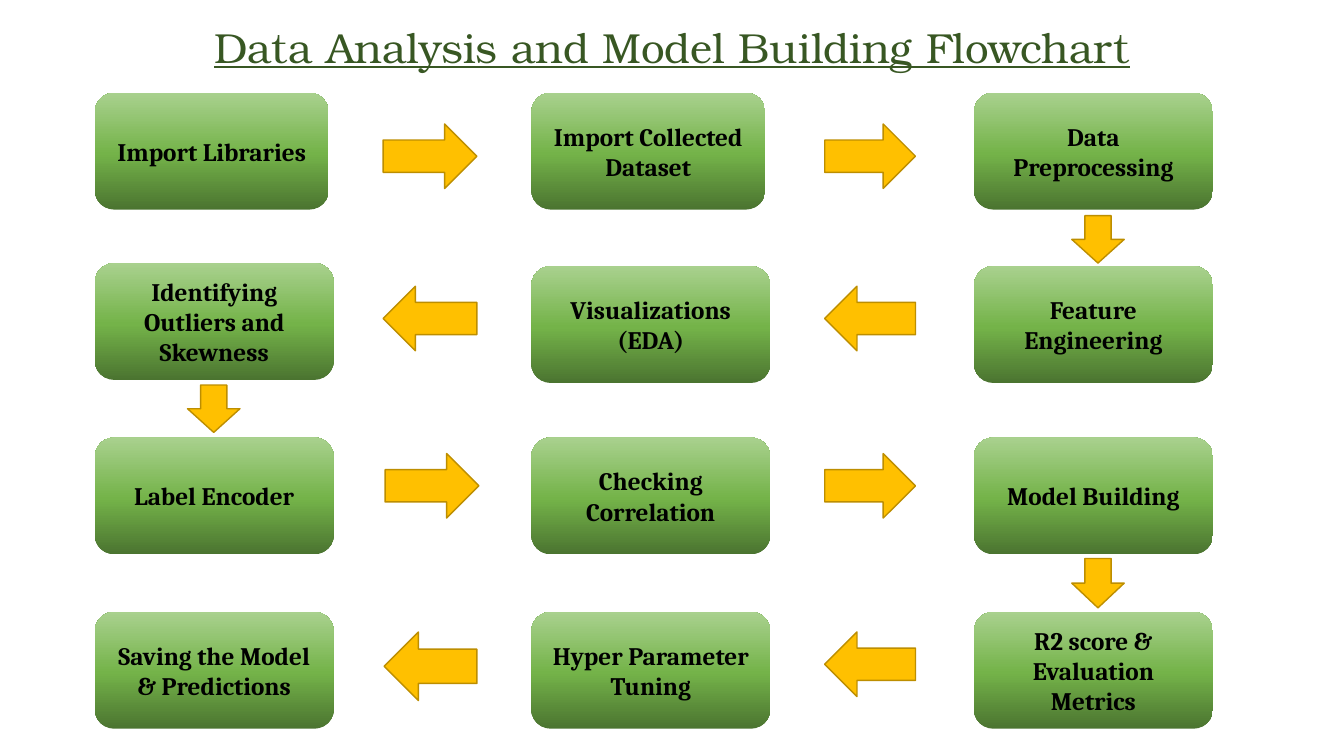
from copy import deepcopy

from pptx import Presentation
from pptx.dml.color import RGBColor
from pptx.enum.shapes import MSO_SHAPE
from pptx.enum.text import MSO_ANCHOR, MSO_AUTO_SIZE, PP_ALIGN
from pptx.util import Inches, Pt

BOX = MSO_SHAPE.FLOWCHART_ALTERNATE_PROCESS
RIGHT = MSO_SHAPE.RIGHT_ARROW
LEFT = MSO_SHAPE.LEFT_ARROW
DOWN = MSO_SHAPE.DOWN_ARROW
CENTER = PP_ALIGN.CENTER
MIDDLE = MSO_ANCHOR.MIDDLE
GROW = MSO_AUTO_SIZE.SHAPE_TO_FIT_TEXT


def color(value):
    return RGBColor.from_string(value)


def write(shape, text, font_format):
    frame = shape.text_frame
    frame.word_wrap = True
    frame.text = text
    for paragraph in frame.paragraphs:
        paragraph.alignment = CENTER
        font = paragraph.runs[0].font
        font.color.rgb = color(font_format["color"])
        for name, value in font_format["font"].items():
            setattr(font, name, value)


TITLE_FORMAT = {
    "color": "385723",
    "font": {"name": "TeX Gyre Bonum", "size": Pt(30), "underline": True},
}
STEP_FORMAT = {
    "color": "000000",
    "font": {"name": "Cambria", "size": Pt(18), "bold": True},
}
GRADIENT = [(0, "4B7430"), (0.48, "74B349"), (1, "A9D18E")]

COLUMN_LEFTS = [0.94, 5.27, 9.66]
STEP_ROWS = [
    ([0.92, 0.92, 0.92], [2.32, 2.32, 2.37],
     ["Import Libraries", "Import Collected Dataset", "Data Preprocessing"]),
    ([2.61, 2.64, 2.64], [2.37] * 3,
     ["Identifying Outliers and Skewness", "Visualizations\n(EDA)", "Feature Engineering"]),
    ([4.34] * 3, [2.37] * 3,
     ["Label Encoder", "Checking Correlation", "Model Building"]),
    ([6.07] * 3, [2.37] * 3,
     ["Saving the Model & Predictions", "Hyper Parameter Tuning", "R2 score & Evaluation Metrics"]),
]
ARROWS = [
    (RIGHT, 3.8, 1.23, 0.93, 0.64),
    (RIGHT, 8.18, 1.23, 0.9, 0.64),
    (DOWN, 10.63, 2.14, 0.52, 0.47),
    (LEFT, 8.18, 2.84, 0.9, 0.64),
    (LEFT, 3.8, 2.84, 0.93, 0.64),
    (DOWN, 1.86, 3.82, 0.52, 0.47),
    (RIGHT, 3.82, 4.5, 0.93, 0.64),
    (RIGHT, 8.18, 4.5, 0.9, 0.64),
    (DOWN, 10.63, 5.54, 0.52, 0.49),
    (LEFT, 8.18, 6.27, 0.9, 0.64),
    (LEFT, 3.81, 6.27, 0.92, 0.68),
]

presentation = Presentation()
presentation.slide_width = Inches(13.33)
presentation.slide_height = Inches(7.5)
slide = presentation.slides.add_slide(presentation.slide_layouts[6])

title = slide.shapes.add_textbox(0, Inches(0.16), Inches(13.33), Inches(0.61))
write(title, "Data Analysis and Model Building Flowchart", TITLE_FORMAT)
title.text_frame.auto_size = GROW

for kind, *bounds in ARROWS:
    arrow = slide.shapes.add_shape(kind, *map(Inches, bounds))
    arrow.shadow.inherit = False
    arrow.fill.solid()
    arrow.fill.fore_color.rgb = color("FFC000")
    arrow.line.color.rgb = color("BD8E00")
    arrow.line.width = Pt(1)

for tops, widths, labels in STEP_ROWS:
    for left, top, width, label in zip(COLUMN_LEFTS, tops, widths, labels):
        step = slide.shapes.add_shape(
            BOX, Inches(left), Inches(top), Inches(width), Inches(1.16))
        step.shadow.inherit = False
        step.line.fill.background()
        step.fill.gradient()
        step.fill.gradient_angle = 90
        first_stop = step.fill._fill._gradFill.gsLst[0]
        first_stop.addnext(deepcopy(first_stop))
        for stop, (position, value) in zip(step.fill.gradient_stops, GRADIENT):
            stop.position = position
            stop.color.rgb = color(value)
        step.text_frame.vertical_anchor = MIDDLE
        write(step, label, STEP_FORMAT)

presentation.save("out.pptx")
